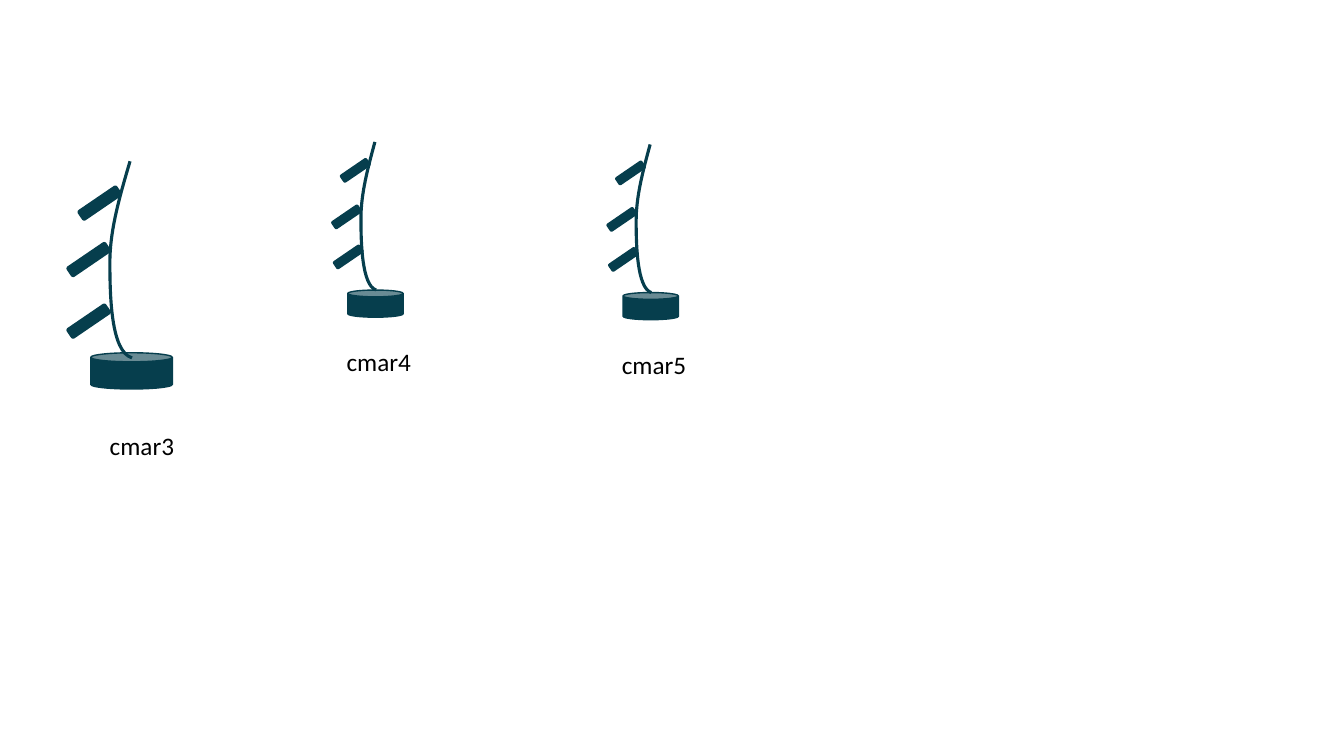
from dataclasses import dataclass

from lxml.etree import SubElement
from pptx import Presentation
from pptx.dml.color import RGBColor
from pptx.enum.shapes import MSO_SHAPE
from pptx.enum.text import MSO_AUTO_SIZE
from pptx.oxml.ns import qn
from pptx.shapes.autoshape import Shape
from pptx.slide import Slide
from pptx.util import Pt

Point = tuple[float, float]


@dataclass(frozen=True)
class Theme:
    teal: RGBColor = RGBColor(0x06, 0x3E, 0x4D)
    black: RGBColor = RGBColor(0, 0, 0)
    font: str = "Calibri"
    label_size: float = 18
    outline: float = 1
    stem_line: float = 2.25


@dataclass(frozen=True)
class PlantForm:
    pot_size: Point
    stem: tuple[Point, ...]
    leaf_size: Point
    leaves: tuple[Point, ...]
    label: Point


@dataclass(frozen=True)
class Plant:
    name: str
    pot: Point
    form: PlantForm


THEME = Theme()
LEAF_ROTATION = 325.7
LABEL_SIZE = (61.2, 28.8)

SMALL = PlantForm(
    pot_size=(39.6, 19.4),
    stem=((19.4, -105.8), (14.4, -87.3), (9.4, -69), (9.4, -51.1),
          (9.4, -33.6), (10.1, -3.4), (20.2, 0)),
    leaf_size=(22.3, 5.8),
    leaves=((-5.8, -88.4), (-12, -55.2), (-10.8, -26.6)),
    label=(-7.9, 36.9),
)
LARGE = PlantForm(
    pot_size=(58.3, 25.9),
    stem=((28.1, -136.8), (20.9, -112.3), (13.7, -87.8), (13.7, -64.8),
          (13.7, -41), (14.4, -0.7), (29.5, 3.6)),
    leaf_size=(33.1, 7.9),
    leaves=((-10.1, -110.9), (-18, -70.6), (-18, -26.6)),
    label=(6.5, 51.8),
)
PLANTS = (
    Plant("cmar4", (248.4, 207.2), SMALL),
    Plant("cmar3", (64.8, 252), LARGE),
    Plant("cmar5", (445, 209), SMALL),
)


def shifted(origin: Point, offset: Point) -> Point:
    return origin[0] + offset[0], origin[1] + offset[1]


def add_solid(slide: Slide, kind: MSO_SHAPE, place: Point, size: Point) -> Shape:
    solid = slide.shapes.add_shape(kind, *map(Pt, place + size))
    solid.shadow.inherit = False
    solid.fill.solid()
    solid.fill.fore_color.rgb = THEME.teal
    solid.line.color.rgb = THEME.teal
    solid.line.width = Pt(THEME.outline)
    return solid


def add_stem(slide: Slide, points: list[Point]) -> None:
    start, *bends = [(Pt(x), Pt(y)) for x, y in points]
    builder = slide.shapes.build_freeform(*start)
    builder.add_line_segments(bends, close=False)
    stem = builder.convert_to_shape()
    segments = stem._element.xpath(".//a:lnTo")
    outline = segments[0].getparent()
    for first in range(0, len(segments), 3):
        curve = SubElement(outline, qn("a:cubicBezTo"))
        for segment in segments[first:first + 3]:
            curve.append(segment[0])
            outline.remove(segment)
    stem.shadow.inherit = False
    stem.fill.background()
    stem.line.color.rgb = THEME.teal
    stem.line.width = Pt(THEME.stem_line)


def add_label(slide: Slide, name: str, place: Point) -> None:
    label = slide.shapes.add_textbox(*map(Pt, place + LABEL_SIZE)).text_frame
    label.word_wrap = False
    label.auto_size = MSO_AUTO_SIZE.SHAPE_TO_FIT_TEXT
    run = label.paragraphs[0].add_run()
    run.text = name
    run.font.name = THEME.font
    run.font.size = Pt(THEME.label_size)
    run.font.color.rgb = THEME.black


def add_plant(slide: Slide, plant: Plant) -> None:
    form = plant.form
    add_solid(slide, MSO_SHAPE.CAN, plant.pot, form.pot_size)
    add_stem(slide, [shifted(plant.pot, point) for point in form.stem])
    for offset in form.leaves:
        leaf = add_solid(slide, MSO_SHAPE.ROUNDED_RECTANGLE,
                         shifted(plant.pot, offset), form.leaf_size)
        leaf.rotation = LEAF_ROTATION
    add_label(slide, plant.name, shifted(plant.pot, form.label))


def main() -> None:
    presentation = Presentation()
    presentation.slide_width = Pt(960)
    presentation.slide_height = Pt(540)
    slide = presentation.slides.add_slide(presentation.slide_layouts[6])
    for plant in PLANTS:
        add_plant(slide, plant)
    presentation.save("out.pptx")


if __name__ == "__main__":
    main()
